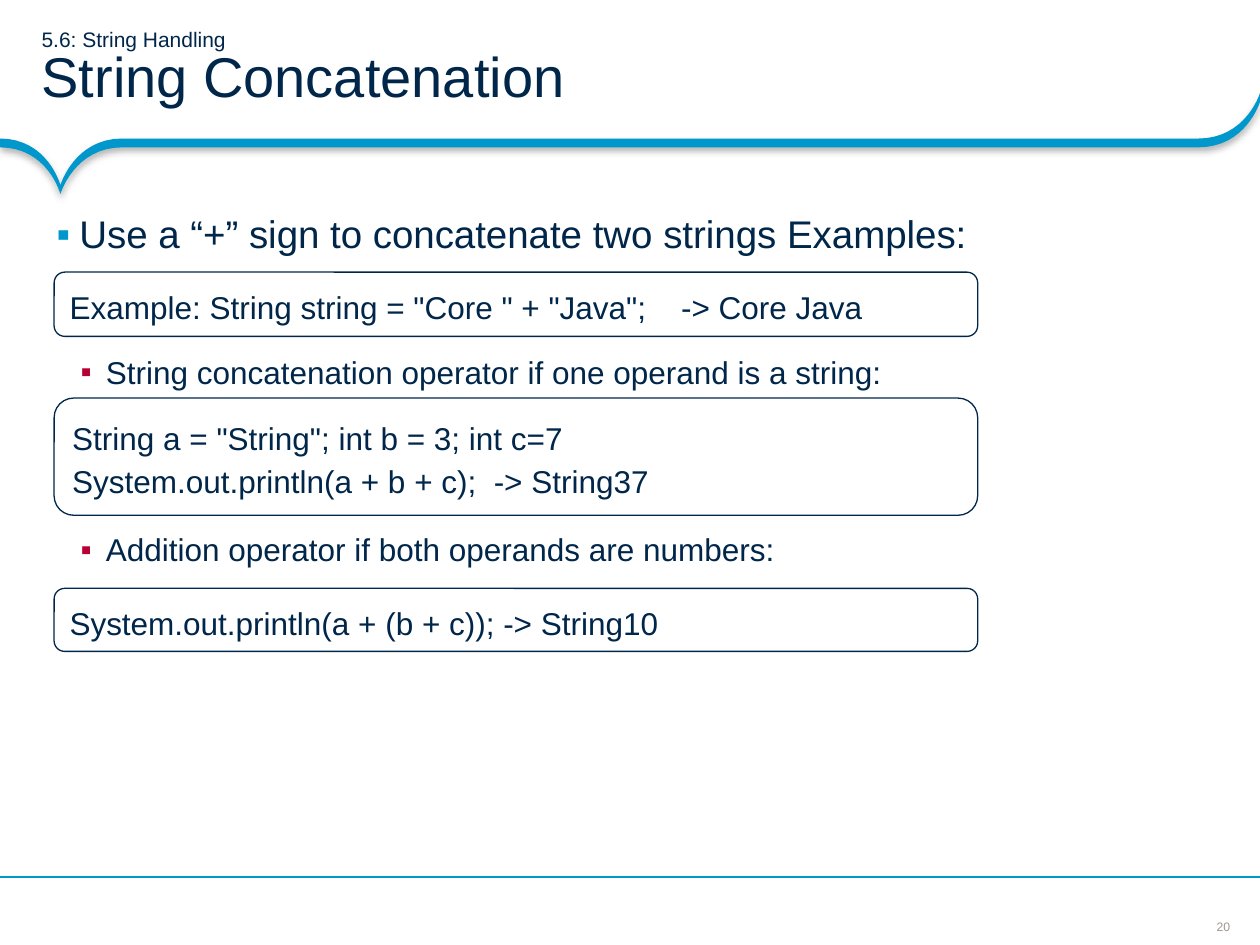
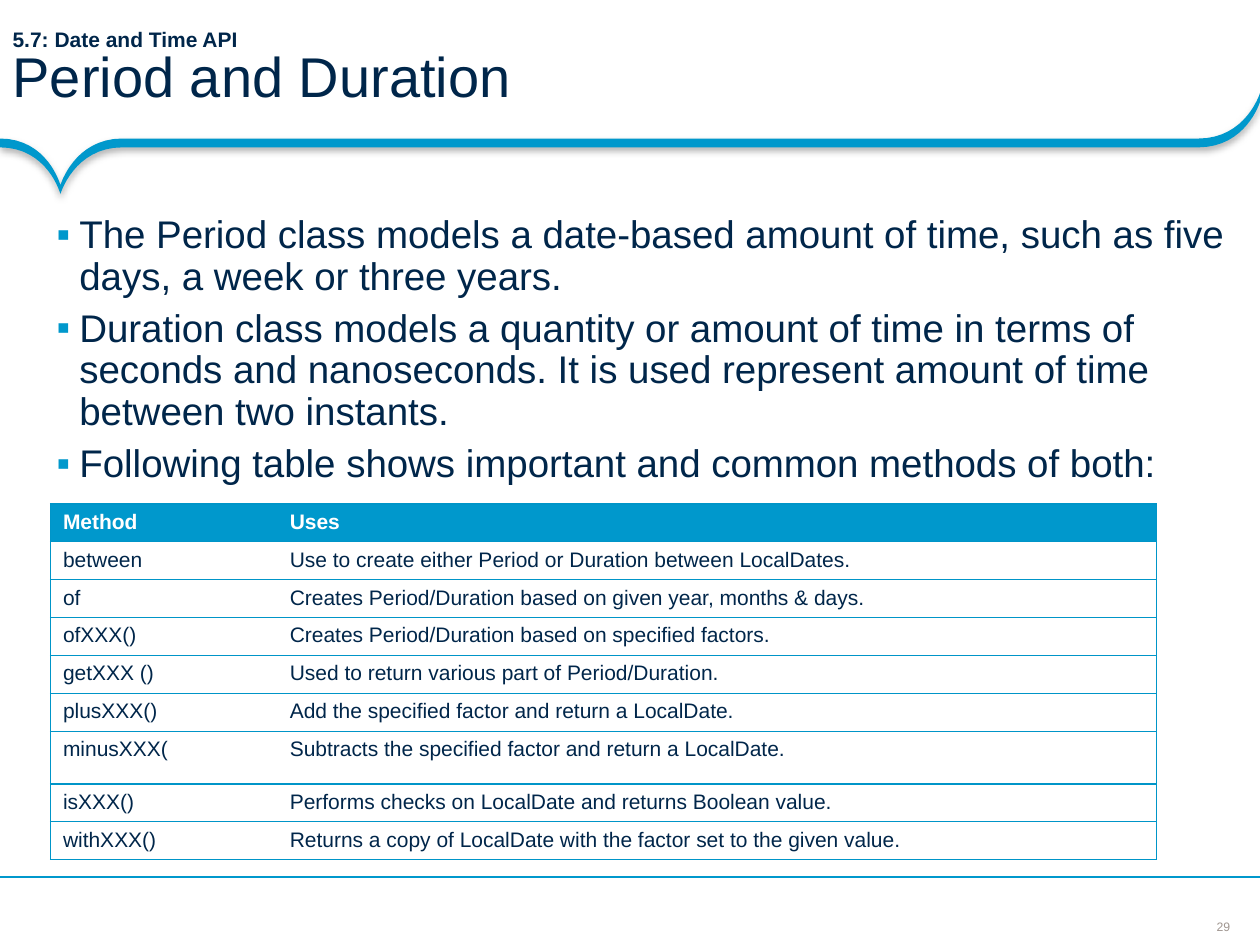
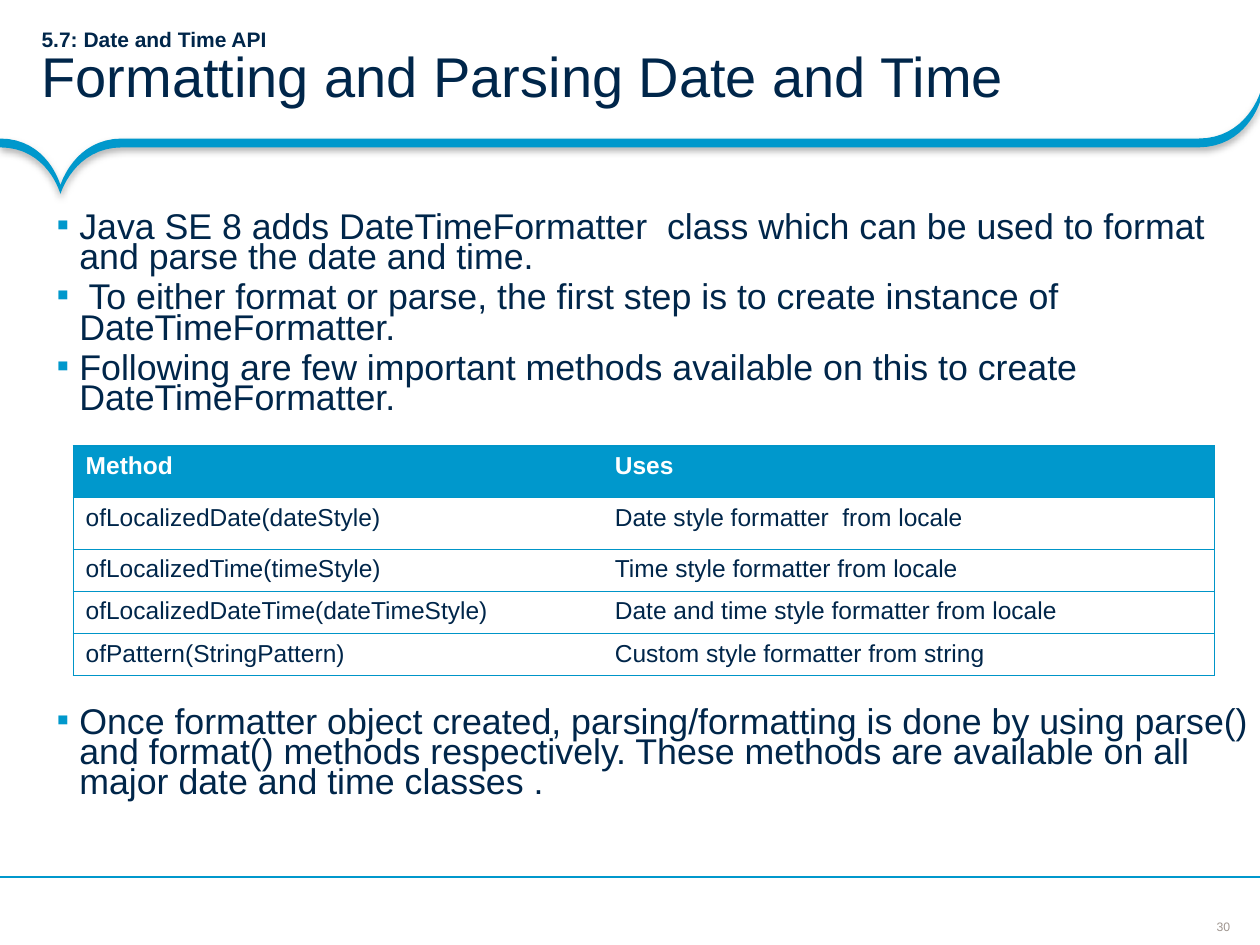
from dataclasses import dataclass

from lxml.etree import SubElement
from pptx import Presentation
from pptx.dml.color import RGBColor
from pptx.enum.shapes import MSO_CONNECTOR, MSO_SHAPE
from pptx.enum.text import MSO_ANCHOR, MSO_AUTO_SIZE, PP_ALIGN
from pptx.oxml.ns import qn
from pptx.slide import Slide
from pptx.table import _Cell
from pptx.text.text import TextFrame, _Paragraph
from pptx.util import Inches, Pt


@dataclass(frozen=True)
class Theme:
    font: str = "Arial"
    navy: RGBColor = RGBColor(0x00, 0x26, 0x4A)
    blue: RGBColor = RGBColor(0x00, 0x98, 0xCC)
    grid: RGBColor = RGBColor(0x00, 0x95, 0xC8)
    crimson: RGBColor = RGBColor(0xB7, 0x01, 0x32)
    grey: RGBColor = RGBColor(0x9F, 0x95, 0x8F)
    white: RGBColor = RGBColor(0xFF, 0xFF, 0xFF)
    section_size: float = 12
    title_size: float = 32
    bullet_size: float = 22
    dense_bullet_size: float = 20.4
    code_size: float = 18
    number_size: float = 7
    hairline: float = 0.75


THEME = Theme()


@dataclass(frozen=True)
class Heading:
    section: str
    title: str
    section_bold: bool = True
    insets: tuple[float, float, float, float] = (0.33, 0.04, 0.18, 0.04)


@dataclass(frozen=True)
class Bullet:
    text: str
    level: int = 0
    size: float = THEME.bullet_size
    line_spacing: float = 0.9
    space_after: float = 6


@dataclass(frozen=True)
class BulletLevel:
    margin: float
    hang: float
    color: RGBColor


@dataclass(frozen=True)
class CodeBox:
    top: float
    height: float
    lines: tuple[str, ...]


@dataclass(frozen=True)
class MethodTable:
    left: float
    top: float
    columns: tuple[float, float]
    heights: tuple[float, ...]
    size: float
    methods: tuple[tuple[str, str], ...]


Point = tuple[float, float]
BULLET_LEVELS = (BulletLevel(0.18, 0.18, THEME.blue),
                 BulletLevel(0.39, 0.2, THEME.crimson))
TABLE_HEADER = ("Method", "Uses")


def style(paragraph: _Paragraph, size: float, color: RGBColor = THEME.navy,
          bold: bool = False) -> None:
    font = paragraph.font
    font.name, font.size, font.bold = THEME.font, Pt(size), bold
    font.color.rgb = color


def set_insets(frame: TextFrame, insets: tuple[float, float, float, float]) -> None:
    (frame.margin_left, frame.margin_top,
     frame.margin_right, frame.margin_bottom) = map(Inches, insets)


def curve(start: Point, control1: Point, control2: Point, end: Point,
          steps: int = 16) -> list[Point]:
    """Sample a cubic Bezier curve, both ends included."""
    points = []
    for step in range(steps + 1):
        t = step / steps
        weights = ((1 - t) ** 3, 3 * t * (1 - t) ** 2, 3 * t * t * (1 - t), t ** 3)
        corners = (start, control1, control2, end)
        points.append((sum(w * x for w, (x, _) in zip(weights, corners)),
                       sum(w * y for w, (_, y) in zip(weights, corners))))
    return points


def band_edge(y: float) -> list[Point]:
    """One long edge of the header band, left to right, with its flat part at y."""
    tip, corner = (0.48, y + 0.37), (10, y - 0.36)
    return (curve((0, y), (0.38, y), tip, tip)
            + curve(tip, tip, (0.59, y), (0.97, y))
            + curve((9.51, y), (9.89, y), corner, corner))


def draw_band(slide: Slide) -> None:
    outline = band_edge(1.1) + band_edge(1.17)[::-1]
    start, *rest = [(Inches(x), Inches(y)) for x, y in outline]
    builder = slide.shapes.build_freeform(*start)
    builder.add_line_segments(rest)
    band = builder.convert_to_shape()
    band.fill.solid()
    band.fill.fore_color.rgb = THEME.blue
    band.line.fill.background()
    band.shadow.inherit = False
    effects = band._element.spPr.find(qn("a:effectLst"))
    shadow = SubElement(effects, qn("a:outerShdw"), blurRad=str(Pt(4)),
                        dist=str(Pt(2)), dir="5400000", rotWithShape="0")
    black = SubElement(shadow, qn("a:srgbClr"), val="000000")
    SubElement(black, qn("a:alpha"), val="31000")


def draw_footer(slide: Slide, number: int) -> None:
    rule = slide.shapes.add_connector(MSO_CONNECTOR.STRAIGHT, Inches(10), Inches(6.96),
                                      Inches(0), Inches(6.96))
    rule.line.color.rgb = THEME.blue
    rule.line.width = Pt(THEME.hairline)
    SubElement(rule._element.spPr, qn("a:effectLst"))

    frame = slide.shapes.add_textbox(Inches(9.65), Inches(7.29),
                                     Inches(0.12), Inches(0.12)).text_frame
    set_insets(frame, (0, 0, 0, 0))
    frame.word_wrap = False
    frame.vertical_anchor = MSO_ANCHOR.MIDDLE
    paragraph = frame.paragraphs[0]
    paragraph.text = str(number)
    paragraph.alignment = PP_ALIGN.CENTER
    style(paragraph, THEME.number_size, THEME.grey)


def fill_title(slide: Slide, heading: Heading) -> None:
    title = slide.shapes.title
    title.left, title.top, title.width, title.height = map(Inches, (0, 0, 10, 1.1))
    frame = title.text_frame
    frame.auto_size = MSO_AUTO_SIZE.NONE
    frame.vertical_anchor = MSO_ANCHOR.MIDDLE
    set_insets(frame, heading.insets)
    paragraph = frame.paragraphs[0]
    paragraph.alignment = PP_ALIGN.LEFT
    paragraph.line_spacing = 0.85
    style(paragraph, THEME.title_size)
    section = paragraph.add_run()
    section.text = heading.section
    section.font.size = Pt(THEME.section_size)
    section.font.bold = heading.section_bold
    paragraph.add_line_break()
    line_break = paragraph._p.find(qn("a:br"))
    SubElement(line_break, qn("a:rPr"), sz=str(int(THEME.section_size * 100)))
    paragraph.add_run().text = heading.title


def fill_bullets(slide: Slide, bullets: tuple[Bullet, ...]) -> None:
    body = slide.placeholders[1]
    body.left, body.top, body.width, body.height = map(Inches, (0.33, 1.63, 9.67, 5.08))
    frame = body.text_frame
    frame.auto_size = MSO_AUTO_SIZE.NONE
    set_insets(frame, (0.12, 0.08, 0.08, 0.08))
    for index, bullet in enumerate(bullets):
        paragraph = frame.add_paragraph() if index else frame.paragraphs[0]
        paragraph.text = bullet.text
        paragraph.level = bullet.level
        paragraph.line_spacing = bullet.line_spacing
        paragraph.space_before = Pt(0)
        paragraph.space_after = Pt(bullet.space_after)
        add_marker(paragraph, BULLET_LEVELS[bullet.level])
        style(paragraph, bullet.size)


def add_marker(paragraph: _Paragraph, level: BulletLevel) -> None:
    properties = paragraph._p.get_or_add_pPr()
    properties.set("marL", str(Inches(level.margin)))
    properties.set("indent", str(-Inches(level.hang)))
    color = SubElement(properties, qn("a:buClr"))
    SubElement(color, qn("a:srgbClr"), val=str(level.color))
    SubElement(properties, qn("a:buFont"), typeface=THEME.font)
    SubElement(properties, qn("a:buChar"), char="▪")


def draw_code_box(slide: Slide, code: CodeBox) -> None:
    box = slide.shapes.add_shape(MSO_SHAPE.ROUNDED_RECTANGLE, Inches(0.43),
                                 Inches(code.top), Inches(7.33), Inches(code.height))
    box.shadow.inherit = False
    box.fill.solid()
    box.fill.fore_color.rgb = THEME.white
    box.line.color.rgb = THEME.navy
    box.line.width = Pt(THEME.hairline)
    frame = box.text_frame
    frame.vertical_anchor = MSO_ANCHOR.MIDDLE
    for index, line in enumerate(code.lines):
        paragraph = frame.add_paragraph() if index else frame.paragraphs[0]
        paragraph.text = line
        paragraph.alignment = PP_ALIGN.LEFT
        paragraph.line_spacing = 1.15
        style(paragraph, THEME.code_size)


def set_borders(cell: _Cell, visible: set[str]) -> None:
    properties = cell._tc.get_or_add_tcPr()
    for side in "LRTB":
        line = SubElement(properties, qn(f"a:ln{side}"), w=str(Pt(THEME.hairline)))
        if side in visible:
            fill = SubElement(line, qn("a:solidFill"))
            SubElement(fill, qn("a:srgbClr"), val=str(THEME.grid))
        else:
            SubElement(line, qn("a:noFill"))


def draw_table(slide: Slide, spec: MethodTable) -> None:
    rows = (TABLE_HEADER, *spec.methods)
    table = slide.shapes.add_table(
        len(rows), len(TABLE_HEADER), Inches(spec.left), Inches(spec.top),
        Inches(sum(spec.columns)), Inches(sum(spec.heights))).table
    for column, width in zip(table.columns, spec.columns):
        column.width = Inches(width)
    for row_index, (row, height) in enumerate(zip(rows, spec.heights)):
        table.rows[row_index].height = Inches(height)
        is_header = row_index == 0
        for column_index, text in enumerate(row):
            cell = table.cell(row_index, column_index)
            set_borders(cell, {"T", "B", "LR"[column_index]})
            cell.fill.solid()
            cell.fill.fore_color.rgb = THEME.blue if is_header else THEME.white
            paragraph = cell.text_frame.paragraphs[0]
            paragraph.text = text
            style(paragraph, spec.size, THEME.white if is_header else THEME.navy,
                  is_header)


CONCATENATION_BULLETS = (
    Bullet("Use a “+” sign to concatenate two strings Examples:", space_after=57),
    Bullet("String concatenation operator if one operand is a string:", 1,
           THEME.code_size, space_after=82),
    Bullet("Addition operator if both operands are numbers:", 1, THEME.code_size),
)
CONCATENATION_CODE = (
    CodeBox(2.16, 0.51, ('Example: String string = "Core " + "Java";    -> Core Java',)),
    CodeBox(3.16, 0.93, ('String a = "String"; int b = 3; int c=7',
                         "System.out.println(a + b + c);  -> String37")),
    CodeBox(4.67, 0.5, ("System.out.println(a + (b + c)); -> String10",)),
)

PERIOD_BULLETS = (
    Bullet("The Period class models a date-based amount of time, such as five days, "
           "a week or three years."),
    Bullet("Duration class models a quantity or amount of time in terms of seconds and "
           "nanoseconds. It is used represent amount of time between two instants."),
    Bullet("Following table shows important and common methods of both:"),
)
PERIOD_TABLE = MethodTable(
    0.4, 4, (1.8, 6.98), (*[0.28] * 6, 0.42, 0.28, 0.3), 12, (
        ("between", "Use to create either Period or Duration between LocalDates."),
        ("of", "Creates Period/Duration based on given year, months & days."),
        ("ofXXX()", "Creates Period/Duration based on specified factors."),
        ("getXXX ()", "Used to return various part of Period/Duration."),
        ("plusXXX()", "Add the specified factor and return a LocalDate."),
        ("minusXXX(", "Subtracts the specified factor and return a LocalDate."),
        ("isXXX()", "Performs checks on LocalDate and returns Boolean value."),
        ("withXXX()", "Returns a copy of LocalDate with the factor set to the given value."),
    ))


def formatter_bullet(text: str, space_after: float = 6) -> Bullet:
    return Bullet(text, size=THEME.dense_bullet_size, line_spacing=0.7,
                  space_after=space_after)


FORMATTER_BULLETS = (
    formatter_bullet("Java SE 8 adds DateTimeFormatter  class which can be used to format "
                     "and parse the date and time."),
    formatter_bullet(" To either format or parse, the first step is to create instance of "
                     "DateTimeFormatter."),
    formatter_bullet("Following are few important methods available on this to create "
                     "DateTimeFormatter.", space_after=168),
    formatter_bullet("Once formatter object created, parsing/formatting is done by using "
                     "parse() and format() methods respectively. These methods are "
                     "available on all major date and time classes ."),
)
FORMATTER_TABLE = MethodTable(
    0.58, 3.54, (4.2, 4.86), (0.41, 0.41, 0.32, 0.32, 0.32), 14, (
        ("ofLocalizedDate(dateStyle)", "Date style formatter  from locale"),
        ("ofLocalizedTime(timeStyle)", "Time style formatter from locale"),
        ("ofLocalizedDateTime(dateTimeStyle)", "Date and time style formatter from locale"),
        ("ofPattern(StringPattern)", "Custom style formatter from string"),
    ))


def main() -> None:
    presentation = Presentation()
    presentation.slide_width, presentation.slide_height = Inches(10), Inches(7.5)
    layout = presentation.slide_layouts.get_by_name("Title and Content")

    def add_slide(number: int, heading: Heading, bullets: tuple[Bullet, ...]) -> Slide:
        slide = presentation.slides.add_slide(layout)
        draw_band(slide)
        draw_footer(slide, number)
        fill_title(slide, heading)
        fill_bullets(slide, bullets)
        return slide

    concatenation = add_slide(
        20, Heading("5.6: String Handling", "String Concatenation", section_bold=False),
        CONCATENATION_BULLETS)
    for code in CONCATENATION_CODE:
        draw_code_box(concatenation, code)

    period = add_slide(
        29, Heading("5.7: Date and Time API", "Period and Duration",
                    insets=(0.1, 0.05, 0.1, 0.05)),
        PERIOD_BULLETS)
    draw_table(period, PERIOD_TABLE)

    formatter = add_slide(
        30, Heading("5.7: Date and Time API", "Formatting and Parsing Date and Time"),
        FORMATTER_BULLETS)
    draw_table(formatter, FORMATTER_TABLE)

    presentation.save("out.pptx")


if __name__ == "__main__":
    main()
